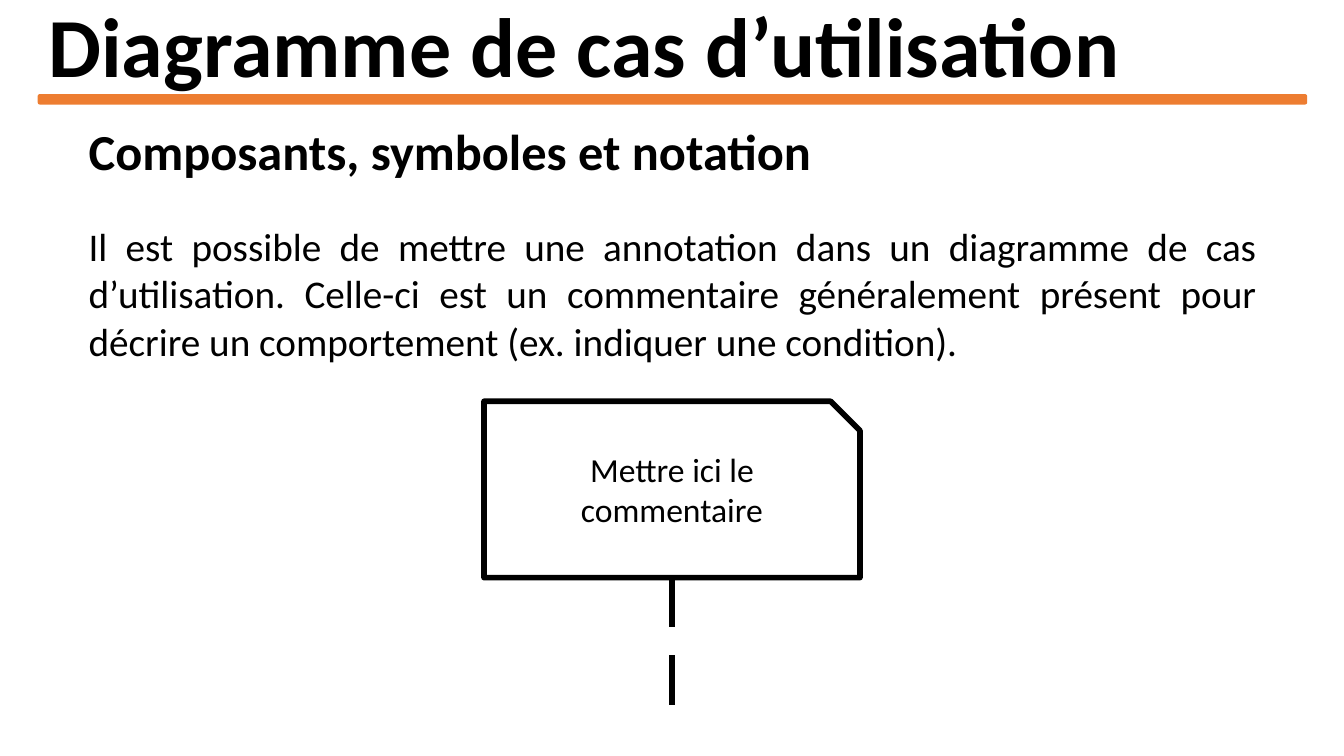
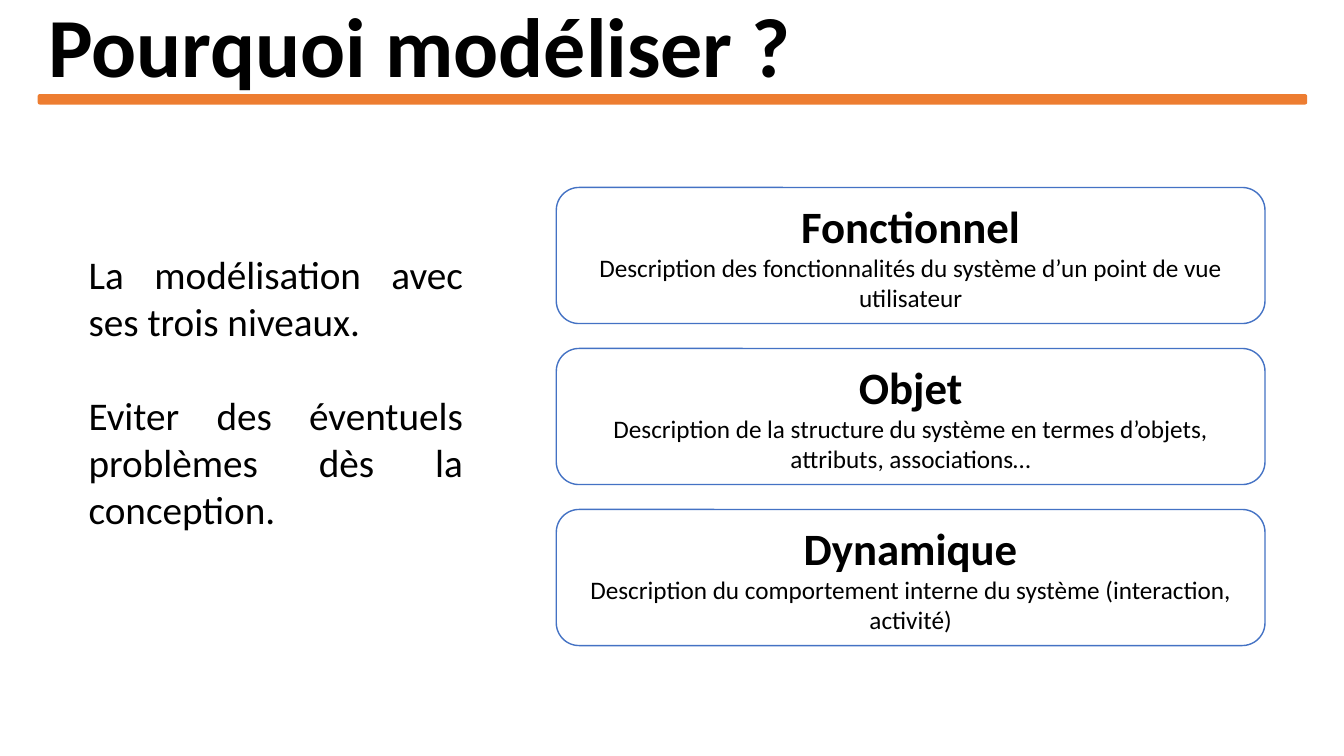
from lxml.etree import SubElement
from pptx import Presentation
from pptx.dml.color import RGBColor
from pptx.enum.shapes import MSO_CONNECTOR, MSO_SHAPE
from pptx.enum.text import MSO_ANCHOR, PP_ALIGN
from pptx.oxml.ns import qn
from pptx.util import Pt

BLACK, WHITE, ORANGE, BLUE = "000000", "FFFFFF", "ED7D31", "4472C4"
LEFT, WIDTH = Pt(56.2), Pt(848.2)


def paint(fill, tone):
    fill.solid()
    fill.fore_color.rgb = RGBColor.from_string(tone)


def write(shape, text, size=28, bold=False, align=PP_ALIGN.JUSTIFY,
          anchor=MSO_ANCHOR.TOP, space=0, pitch=None):
    """Add one paragraph to the shape, using its empty first one if it can."""
    frame = shape.text_frame
    frame.word_wrap = True
    frame.vertical_anchor = anchor
    if frame.text:
        para = frame.add_paragraph()
        para.space_before = Pt(space)
    else:
        para = frame.paragraphs[0]
    para.alignment = align
    para.line_spacing = pitch
    run = para.add_run()
    run.text = text
    run.font.name = "Calibri"
    run.font.size = Pt(size)
    run.font.bold = bold
    paint(run.font.fill, BLACK)


deck = Presentation()
deck.slide_width, deck.slide_height = Pt(960), Pt(540)

# Title and orange rule on every slide
pages = []
for title in ("Diagramme de cas d’utilisation", "Pourquoi modéliser ?"):
    shapes = deck.slides.add_slide(deck.slide_layouts[6]).shapes
    head = shapes.add_textbox(Pt(27.4), Pt(0), Pt(905.8), Pt(72))
    write(head, title, size=60, bold=True, align=PP_ALIGN.LEFT,
          anchor=MSO_ANCHOR.MIDDLE, pitch=0.9)
    rule = shapes.add_shape(MSO_SHAPE.ROUNDED_RECTANGLE,
                            Pt(27.4), Pt(67.7), Pt(905.8), Pt(6.5))
    rule.shadow.inherit = False
    paint(rule.fill, ORANGE)
    paint(rule.line.fill, ORANGE)
    rule.line.width = Pt(1)
    pages.append(shapes)
usage, model = pages

# Use case diagram: the comment symbol
intro = usage.add_textbox(LEFT, Pt(82.1), WIDTH, Pt(51))
write(intro, "Composants, symboles et notation", size=36, bold=True)
body = usage.add_textbox(LEFT, Pt(155.5), WIDTH, Pt(108.7))
write(body, "Il est possible de mettre une annotation dans un diagramme de cas "
      "d’utilisation. Celle-ci est un commentaire généralement présent pour "
      "décrire un comportement (ex. indiquer une condition).")

note = usage.add_shape(MSO_SHAPE.SNIP_1_RECTANGLE,
                       Pt(345.7), Pt(286.6), Pt(268.6), Pt(126))
note.shadow.inherit = False
note.fill.background()
paint(note.line.fill, BLACK)
note.line.width = Pt(4)
SubElement(note.element.spPr.find(qn("a:ln")), qn("a:round"))

dashes = []
for top in (412.6, 468):
    dash = usage.add_connector(MSO_CONNECTOR.STRAIGHT,
                               Pt(480), Pt(top), Pt(480), Pt(top + 35.3))
    paint(dash.line.fill, BLACK)
    dash.line.width = Pt(4)
    SubElement(dash.element.spPr, qn("a:effectLst"))
    dashes.append(dash)
dashes[0].begin_connect(note, 2)

label = usage.add_textbox(Pt(383.5), Pt(316.8), Pt(193), Pt(65.5))
write(label, "Mettre ici le commentaire", size=24, align=PP_ALIGN.CENTER)

# Why model: reasons on the left, three levels on the right
why = model.add_textbox(LEFT, Pt(175), Pt(281.5), Pt(211))
write(why, "La modélisation avec ses trois niveaux.")
write(why, "Eviter des éventuels problèmes dès la conception.", space=34)

levels = (
    ("Fonctionnel", "Description des fonctionnalités du système d’un point de "
     "vue utilisateur"),
    ("Objet", "Description de la structure du système en termes d’objets, "
     "attributs, associations…"),
    ("Dynamique", "Description du comportement interne du système "
     "(interaction, activité)"),
)
for row, (name, detail) in enumerate(levels):
    card = model.add_shape(MSO_SHAPE.ROUNDED_RECTANGLE, Pt(397.4),
                           Pt(133.9 + 115 * row), Pt(506.2), Pt(97.2))
    card.shadow.inherit = False
    paint(card.fill, WHITE)
    paint(card.line.fill, BLUE)
    card.line.width = Pt(1)
    for text, size, bold in ((name, 32, True), (detail, 18, False)):
        write(card, text, size=size, bold=bold, align=PP_ALIGN.CENTER,
              anchor=MSO_ANCHOR.MIDDLE)

deck.save("out.pptx")
